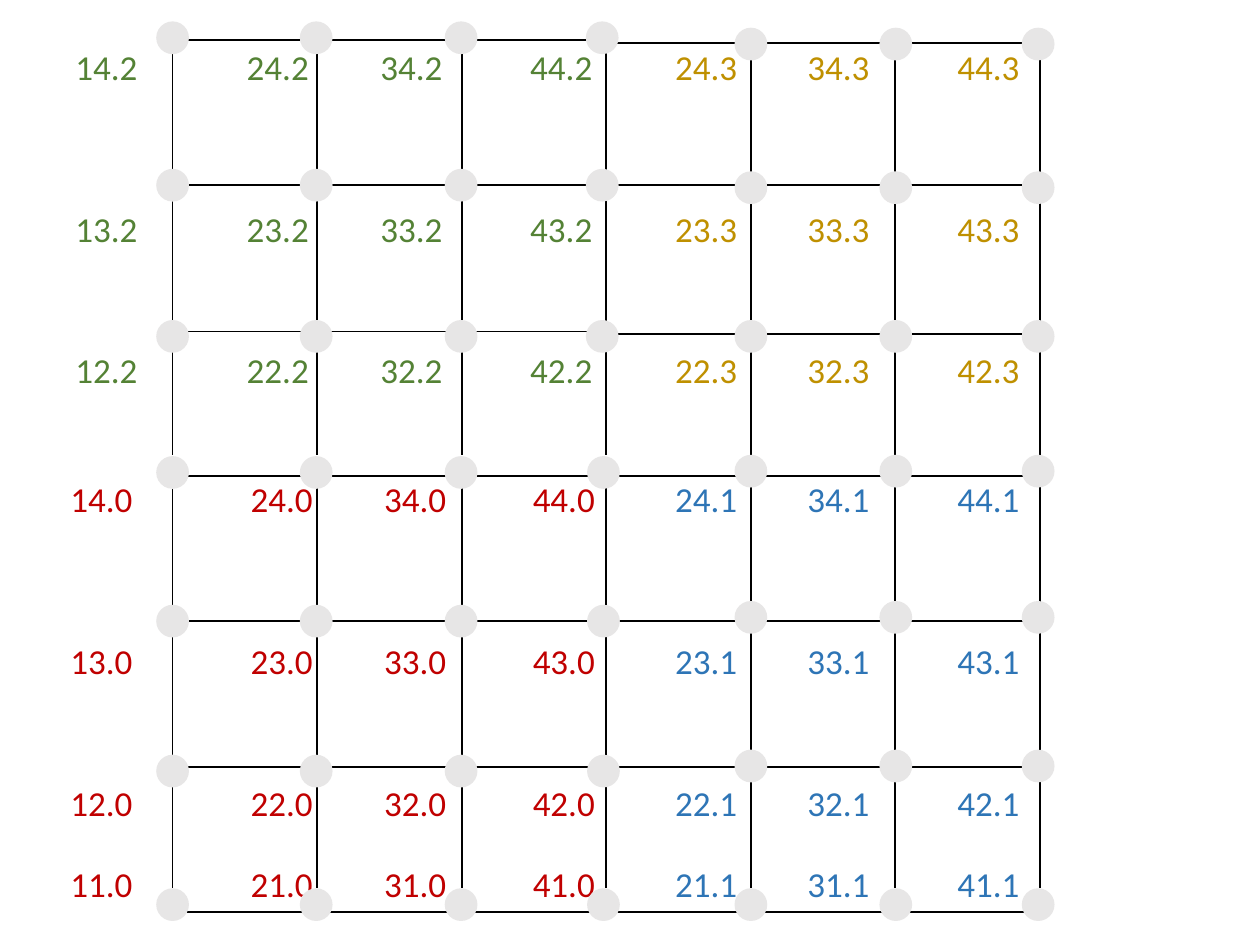
"""Build a slide with a node grid whose four blocks carry colour-coded labels."""
from lxml import etree
from pptx import Presentation
from pptx.dml.color import RGBColor
from pptx.enum.shapes import MSO_CONNECTOR, MSO_SHAPE
from pptx.enum.text import MSO_AUTO_SIZE
from pptx.oxml.ns import qn
from pptx.util import Inches, Pt

STRAIGHT = MSO_CONNECTOR.STRAIGHT
OVAL = MSO_SHAPE.OVAL
FIT_SHAPE = MSO_AUTO_SIZE.SHAPE_TO_FIT_TEXT

THEME = {
    "font": "Calibri", "label_size": 20, "line_width": 1,
    "line": "000000", "node": "E7E6E6",
    "red": "C00000", "blue": "2E75B6", "green": "548235", "gold": "BF9000",
}
LABEL_WIDTH, LABEL_HEIGHT = 0.81, 0.43
NODE_SIZE = 0.26
FIRST_COLUMN, COLUMN_GAP = 1.37, 1.147
LEFT_SPAN, RIGHT_SPAN = (4.81, 1.3), (8.25, 4.74)
LOWER_SPAN, UPPER_SPAN = (3.78, 7.05), (0.34, 3.61)
LOWER_LABELS = {4: 3.74, 3: 5.03, 2: 6.15, 1: 6.8}
UPPER_LABELS = {4: 0.31, 3: 1.6, 2: 2.72}
LEFT_NODES = [1.24, 2.38, 3.53]
RIGHT_NODES = [5.83, 6.98, 8.11]

BLOCKS = [
    {"number": 0, "color": "red", "span": LEFT_SPAN,
     "line_rows": [4.93, 6.09, 7.24],
     "label_columns": {1: 0.46, 2: 1.89, 3: 2.95, 4: 4.13},
     "label_rows": LOWER_LABELS,
     "node_columns": LEFT_NODES + [4.66],
     "node_rows": [3.62, 4.8, 5.99, 7.05]},
    {"number": 1, "color": "blue", "span": RIGHT_SPAN,
     "line_rows": [3.78, 4.93, 6.09, 7.24],
     "label_columns": {2: 5.26, 3: 6.31, 4: 7.5},
     "label_rows": LOWER_LABELS,
     "node_columns": RIGHT_NODES,
     "node_rows": [3.61, 4.77, 5.95, 7.05]},
    {"number": 2, "color": "green", "span": LEFT_SPAN,
     "line_rows": [0.32, 1.47, 2.63, 3.78],
     "label_columns": {1: 0.5, 2: 1.86, 3: 2.92, 4: 4.11},
     "label_rows": UPPER_LABELS,
     "node_columns": LEFT_NODES + [4.65],
     "node_rows": [0.17, 1.34, 2.54]},
    {"number": 3, "color": "gold", "span": RIGHT_SPAN,
     "line_rows": [0.34, 1.47, 2.65],
     "label_columns": {2: 5.26, 3: 6.31, 4: 7.5},
     "label_rows": UPPER_LABELS,
     "node_columns": RIGHT_NODES,
     "node_rows": [0.22, 1.36, 2.54]},
]


def color(name):
    return RGBColor.from_string(THEME[name])


def add_line(slide, x1, y1, x2, y2):
    line = slide.shapes.add_connector(
        STRAIGHT, Inches(x1), Inches(y1), Inches(x2), Inches(y2))
    line.line.color.rgb = color("line")
    line.line.width = Pt(THEME["line_width"])
    etree.SubElement(line._element.spPr, qn("a:effectLst"))


def add_label(slide, text, left, top, color_name):
    label = slide.shapes.add_textbox(
        Inches(left), Inches(top), Inches(LABEL_WIDTH), Inches(LABEL_HEIGHT))
    frame = label.text_frame
    frame.word_wrap = False
    frame.auto_size = FIT_SHAPE
    frame.text = text
    font = frame.paragraphs[0].runs[0].font
    font.name = THEME["font"]
    font.size = Pt(THEME["label_size"])
    font.color.rgb = color(color_name)


def add_node(slide, left, top):
    node = slide.shapes.add_shape(
        OVAL, Inches(left), Inches(top), Inches(NODE_SIZE), Inches(NODE_SIZE))
    node.shadow.inherit = False
    node.fill.solid()
    node.fill.fore_color.rgb = color("node")
    node.line.fill.background()


def main():
    deck = Presentation()
    deck.slide_width, deck.slide_height = Inches(10), Inches(7.5)
    slide = deck.slides.add_slide(deck.slide_layouts[6])

    for column in range(7):
        x = FIRST_COLUMN + column * COLUMN_GAP
        for top, bottom in (LOWER_SPAN, UPPER_SPAN):
            add_line(slide, x, top, x, bottom)
    for block in BLOCKS:
        start, end = block["span"]
        for y in block["line_rows"]:
            add_line(slide, start, y, end, y)

    for block in BLOCKS:
        for row, top in block["label_rows"].items():
            for column, left in block["label_columns"].items():
                text = f"{column}{row}.{block['number']}"
                add_label(slide, text, left, top, block["color"])

    for block in BLOCKS:
        for top in block["node_rows"]:
            for left in block["node_columns"]:
                add_node(slide, left, top)

    deck.save("out.pptx")


if __name__ == "__main__":
    main()
